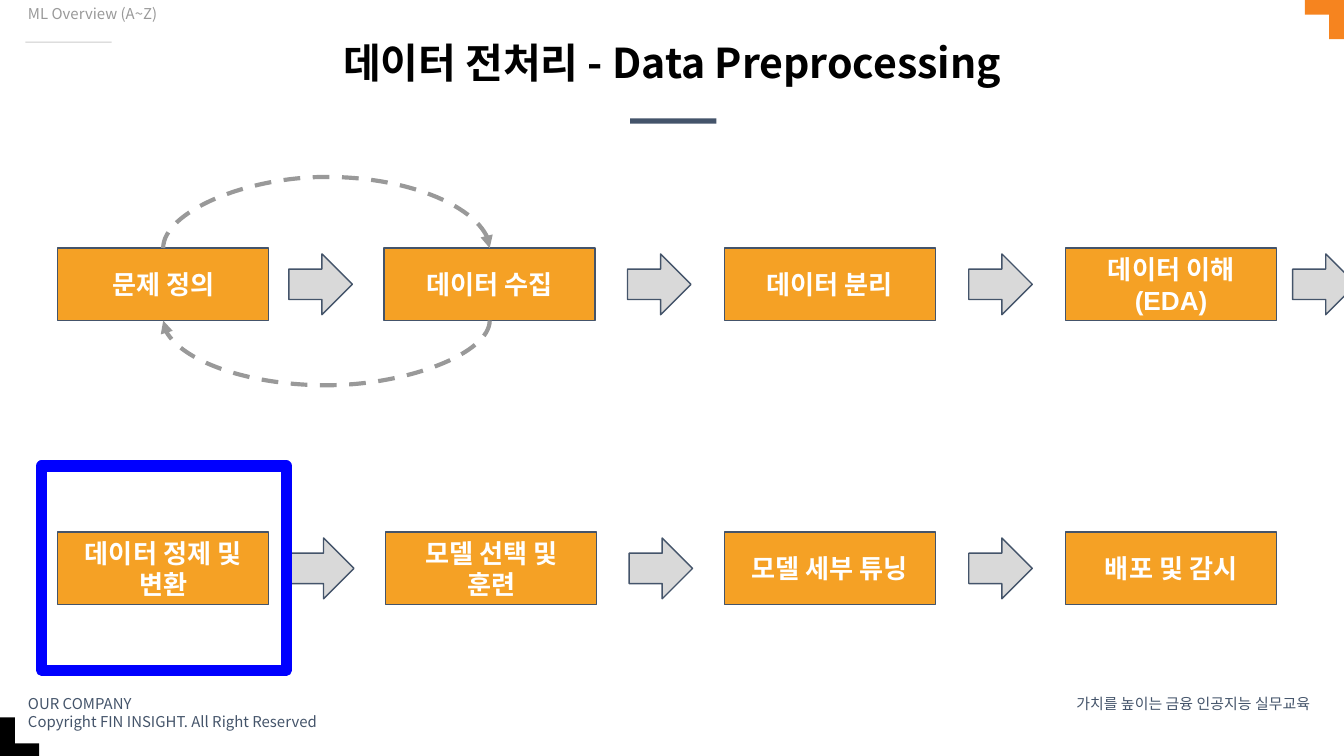
from dataclasses import dataclass

from lxml.etree import SubElement
from pptx import Presentation
from pptx.dml.color import RGBColor
from pptx.enum.dml import MSO_LINE
from pptx.enum.shapes import MSO_CONNECTOR, MSO_SHAPE
from pptx.enum.text import MSO_ANCHOR, PP_ALIGN
from pptx.oxml.ns import qn
from pptx.util import Cm, Emu, Pt


@dataclass(frozen=True)
class Theme:
    """Colours, fonts and type sizes of the slide."""

    navy: str = "44546A"
    orange: str = "F5A125"
    corner: str = "F6841F"
    black: str = "000000"
    white: str = "FFFFFF"
    grey: str = "999999"
    rule: str = "CCCCCC"
    arrow: str = "D9D9D9"
    highlight: str = "0000FF"
    korean_font: str = "Noto Sans CJK KR"
    box_font: str = "Arial"
    title_size: int = 22
    box_size: int = 14
    small_size: int = 8


THEME = Theme()
BOX_WIDTH, BOX_HEIGHT = 3.99, 1.37
ARROW_WIDTH, ARROW_HEIGHT = 1.2, 1.15
PROBLEM_ROW = (
    4.69,
    (1.09, 7.26, 13.69, 20.14),
    (["문제 정의"], ["데이터 수집"], ["데이터 분리"], ["데이터 이해", "(EDA)"]),
    (5.46, 11.86, 18.31, 24.43),
)
MODEL_ROW = (
    10.06,
    (1.09, 7.29, 13.69, 20.14),
    (["데이터 정제 및 변환"], ["모델 선택 및 훈련"], ["모델 세부 튜닝"], ["배포 및 감시"]),
    (5.49, 11.89, 18.31),
)


def color(value):
    """Turn a hex string into a colour."""
    return RGBColor.from_string(value)


def write_text(shape, lines, font_name, size, text_color, bold=False,
               align=PP_ALIGN.LEFT, line_spacing=None, anchor=MSO_ANCHOR.TOP,
               margins=(0.25, 0.13)):
    """Fill a shape with one paragraph per line."""
    frame = shape.text_frame
    frame.word_wrap = True
    frame.vertical_anchor = anchor
    frame.margin_left = frame.margin_right = Cm(margins[0])
    frame.margin_top = frame.margin_bottom = Cm(margins[1])
    for index, line in enumerate(lines):
        paragraph = frame.add_paragraph() if index else frame.paragraphs[0]
        paragraph.alignment = align
        if line_spacing:
            paragraph.line_spacing = line_spacing
        run = paragraph.add_run()
        run.text = line
        run.font.name = font_name
        run.font.size = Pt(size)
        run.font.bold = bold
        run.font.color.rgb = color(text_color)
        east_asian = SubElement(run.font._element, qn("a:ea"))
        east_asian.set("typeface", THEME.korean_font)


def add_title(slide, text):
    """Place and fill the title placeholder."""
    title = slide.shapes.title
    title.left, title.top, title.width, title.height = Cm(2.77), Cm(0.76), Cm(19.86), Cm(1.02)
    write_text(title, [text], THEME.korean_font, THEME.title_size, THEME.black,
               True, PP_ALIGN.CENTER, 0.9, margins=(0.1, 0.05))


def add_small_text(slide, left, top, width, height, lines, text_color, **layout):
    """Add a small header or footer text."""
    box = slide.shapes.add_textbox(Cm(left), Cm(top), Cm(width), Cm(height))
    write_text(box, lines, THEME.korean_font, THEME.small_size, text_color, **layout)


def add_block(slide, kind, left, top, width, height, fill=None, line=None,
              line_width=0.75, rotation=0):
    """Add a preset shape with optional fill and outline."""
    shape = slide.shapes.add_shape(kind, Cm(left), Cm(top), Cm(width), Cm(height))
    shape.shadow.inherit = False
    shape.rotation = rotation
    if fill:
        shape.fill.solid()
        shape.fill.fore_color.rgb = color(fill)
    else:
        shape.fill.background()
    if line:
        shape.line.color.rgb = color(line)
        shape.line.width = Pt(line_width)
    else:
        shape.line.fill.background()
    return shape


def add_row(slide, top, box_lefts, labels, arrow_lefts):
    """Add a row of process boxes and arrows and return the boxes."""
    boxes = []
    for left, lines in zip(box_lefts, labels):
        box = add_block(slide, MSO_SHAPE.RECTANGLE, left, top, BOX_WIDTH, BOX_HEIGHT,
                        THEME.orange, THEME.navy)
        write_text(box, lines, THEME.box_font, THEME.box_size, THEME.white, True,
                   PP_ALIGN.CENTER, anchor=MSO_ANCHOR.MIDDLE, margins=(0.25, 0.25))
        boxes.append(box)
    arrow_top = top + (BOX_HEIGHT - ARROW_HEIGHT) / 2
    for left in arrow_lefts:
        add_block(slide, MSO_SHAPE.RIGHT_ARROW, left, arrow_top, ARROW_WIDTH, ARROW_HEIGHT,
                  THEME.arrow, THEME.navy)
    return boxes


def add_loop(slide, start, end, site, bulge, rotation, flip):
    """Add a dashed curve between the same side of two boxes."""
    connector = slide.shapes.add_connector(MSO_CONNECTOR.CURVE, 0, 0, 0, 0)
    connector.begin_connect(start, site)
    connector.end_connect(end, site)
    middle = (connector.begin_x + connector.end_x) // 2
    level = connector.begin_y
    span = abs(connector.end_x - connector.begin_x)
    thickness = Emu(600)
    connector.left, connector.top = middle - thickness // 2, level - span // 2
    connector.width, connector.height = thickness, span
    properties = connector._element.spPr
    transform = properties.find(qn("a:xfrm"))
    transform.set("rot", str(rotation * 60000))
    transform.set("flipH", str(int(flip)))
    transform.set("flipV", "0")
    adjustments = properties.find(qn("a:prstGeom")).get_or_add_avLst()
    guide = SubElement(adjustments, qn("a:gd"))
    guide.set("name", "adj1")
    guide.set("fmla", f"val {round(Cm(bulge) / thickness * 100000)}")
    connector.line.color.rgb = color(THEME.grey)
    connector.line.width = Pt(2.25)
    connector.line.dash_style = MSO_LINE.DASH
    SubElement(properties.find(qn("a:ln")), qn("a:tailEnd")).set("type", "triangle")
    SubElement(properties, qn("a:effectLst"))


def add_decoration(slide):
    """Add the rules and the corner marks."""
    for left, top, width, height, fill, rotation in (
        (11.91, 2.24, 1.63, 0.1, THEME.navy, 0),
        (0.48, 0.79, 1.63, 0.02, THEME.rule, 0),
        (0, 14.05, 0.74, 0.28, THEME.black, 180),
        (-0.23, 13.79, 0.74, 0.28, THEME.black, 90),
        (24.66, 0, 0.74, 0.28, THEME.corner, 0),
        (24.89, 0.23, 0.74, 0.28, THEME.corner, 270),
    ):
        add_block(slide, MSO_SHAPE.RECTANGLE, left, top, width, height, fill, rotation=rotation)


def main():
    """Build and save the presentation."""
    presentation = Presentation()
    presentation.slide_width, presentation.slide_height = Cm(25.4), Cm(14.29)
    slide = presentation.slides.add_slide(presentation.slide_layouts[5])
    add_decoration(slide)
    add_small_text(slide, 0.28, 13, 7.57, 0.69,
                   ["OUR COMPANY", "Copyright FIN INSIGHT. All Right Reserved"], THEME.navy)
    add_small_text(slide, 19.71, 13, 5.31, 0.43,
                   ["가치를 높이는 금융 인공지능 실무교육"], THEME.navy, align=PP_ALIGN.RIGHT)
    add_title(slide, "데이터 전처리 - Data Preprocessing")
    add_small_text(slide, 0.28, 0, 7.21, 1.02, ["ML Overview (A~Z)"], THEME.grey,
                   line_spacing=0.9)
    problem, collection, *_ = add_row(slide, *PROBLEM_ROW)
    add_row(slide, *MODEL_ROW)
    add_loop(slide, collection, problem, 2, 1.02, 90, False)
    add_loop(slide, problem, collection, 0, -1.12, 270, True)
    add_block(slide, MSO_SHAPE.RECTANGLE, 0.79, 8.81, 4.62, 3.86,
              line=THEME.highlight, line_width=6)
    presentation.save("out.pptx")


if __name__ == "__main__":
    main()
